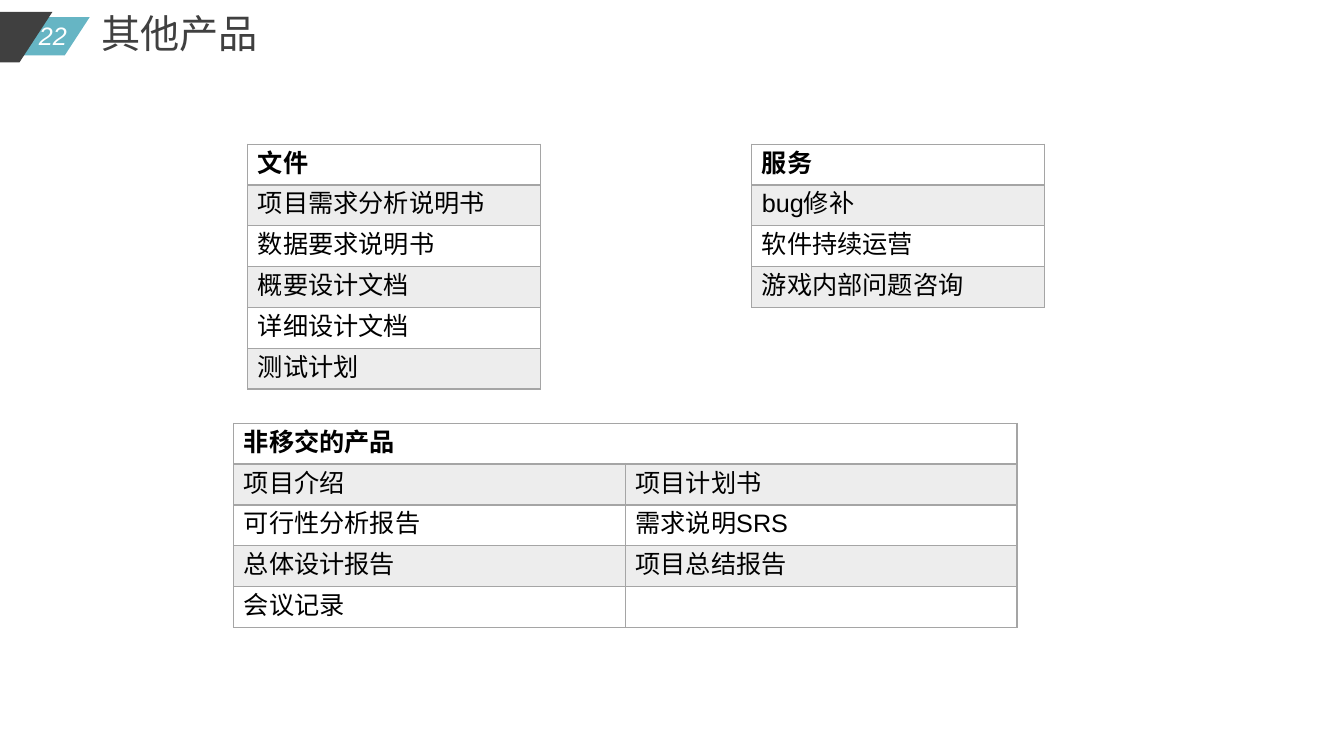
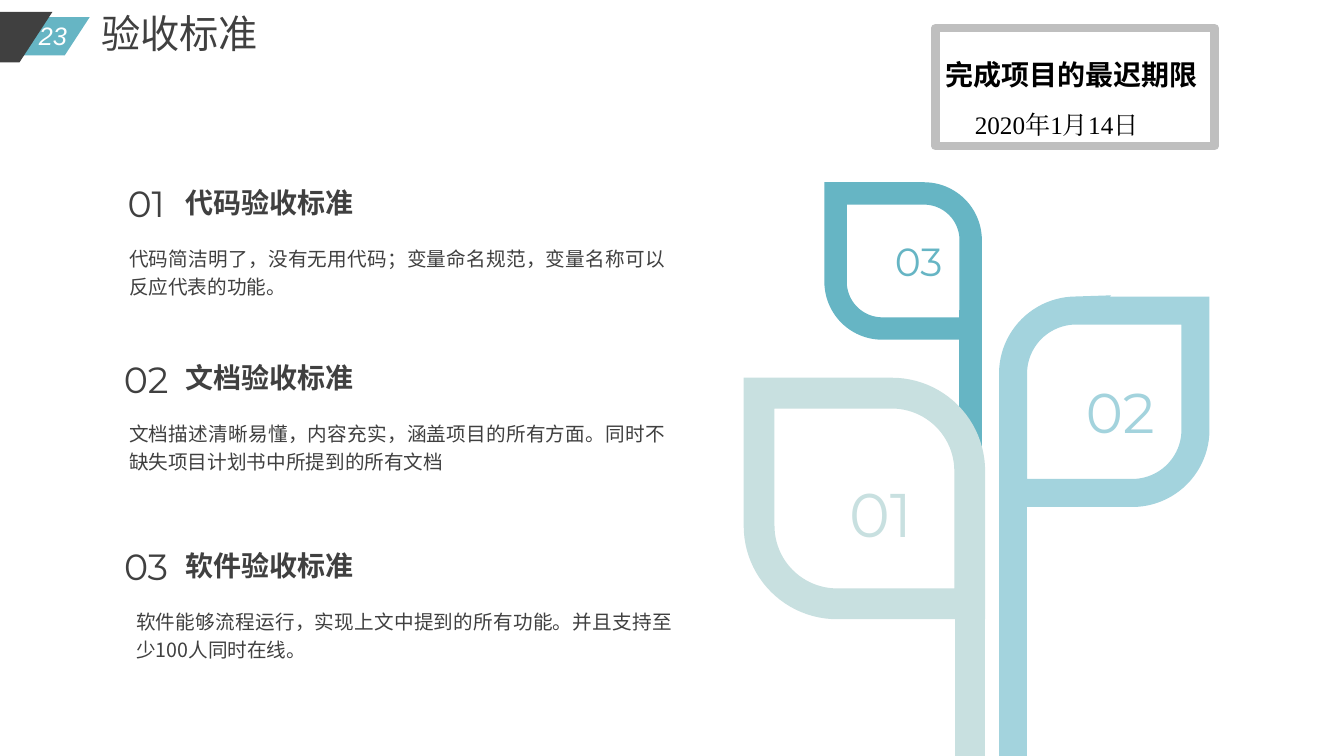
from lxml import etree
from pptx import Presentation
from pptx.dml.color import RGBColor
from pptx.enum import shapes as es, text as et
from pptx.oxml import ns
from pptx.util import Pt

COLORS = {
    "dark": "404040", "black": "000000", "white": "FFFFFF",
    "teal": "66B5C4", "sky": "A3D3DD", "mint": "C8E0E0",
    "border": "A5A5A5", "stripe": "EDEDED", "frame": "BFBFBF",
}
CJK = "Noto Sans CJK SC"
NUMERAL = "Montserrat"
LEFT, CENTER, JUSTIFY = et.PP_ALIGN.LEFT, et.PP_ALIGN.CENTER, et.PP_ALIGN.JUSTIFY

# Text formats
TITLE = {"name": CJK, "size": Pt(28), "color": "dark"}
PAGE = {"name": "Arial", "size": Pt(18), "color": "white", "italic": True}
CELL = {"name": "Arial", "size": Pt(18), "color": "black", "bold": False}
HEADING = {"name": CJK, "size": Pt(20), "color": "dark", "bold": True}
DETAIL = {"name": CJK, "size": Pt(14), "color": "dark"}
ORDINAL = {"name": NUMERAL, "size": Pt(26), "color": "dark"}
DEADLINE = {"name": "Arial", "size": Pt(20), "color": "black", "bold": True}
DATE = {"name": "Times New Roman", "size": Pt(18), "color": "black"}

ROW_H = 29.15


def rgb(name):
    return RGBColor.from_string(COLORS[name])


def sub(parent, tag, **attrs):
    return etree.SubElement(parent, ns.qn(tag), attrs)


def write(p, text, fmt, align=LEFT):
    """Add one formatted run to a paragraph."""
    p.alignment = align
    r = p.add_run()
    r.text = text
    for key, value in fmt.items():
        if key == "color":
            r.font.color.rgb = rgb(value)
        else:
            setattr(r.font, key, value)
    latin = r.font._element.find(ns.qn("a:latin"))
    east = etree.Element(ns.qn("a:ea"), typeface=fmt["name"])
    latin.addnext(east)


def add_label(s, box, text, fmt, align=LEFT, wrap=True, anchor=et.MSO_ANCHOR.MIDDLE):
    tf = s.shapes.add_textbox(*map(Pt, box)).text_frame
    frame = {"word_wrap": wrap, "vertical_anchor": anchor, "margin_left": 0,
             "margin_right": 0, "margin_top": 0, "margin_bottom": 0}
    for key, value in frame.items():
        setattr(tf, key, value)
    write(tf.paragraphs[0], text, fmt, align)
    return tf


def add_shape(s, kind, box, fill=None, line=None, width=0, adj=()):
    sp = s.shapes.add_shape(kind, *map(Pt, box))
    sp.shadow.inherit = False
    for i, value in enumerate(adj):
        sp.adjustments[i] = value
    if fill:
        sp.fill.solid()
        sp.fill.fore_color.rgb = rgb(fill)
    else:
        sp.fill.background()
    if line:
        sp.line.color.rgb = rgb(line)
        sp.line.width = Pt(width)
    else:
        sp.line.fill.background()
    return sp


def setup_layout(layout, s):
    """Put the shared header bands and title place on the layout."""
    title = layout.placeholders[0]
    for key, value in {"left": 65, "top": 3, "width": 500, "height": 41}.items():
        setattr(title, key, Pt(value))
    bands = [((-79.2, 12.2, 143.3, 27.4), "teal"), ((-149.8, 8.6, 187.2, 36), "dark")]
    for i, (box, fill) in enumerate(bands):
        sp = add_shape(s, es.MSO_SHAPE.PARALLELOGRAM, box, fill, adj=[0.652])
        sp.element.xpath("p:nvSpPr/p:cNvPr")[0].set("id", str(50 + i))
        layout.shapes.element.append(sp.element)


def add_header(s, title, number):
    tf = s.shapes.title.text_frame
    tf.auto_size = et.MSO_AUTO_SIZE.NONE
    tf.vertical_anchor = et.MSO_ANCHOR.MIDDLE
    write(tf.paragraphs[0], title, TITLE)
    add_label(s, (19.4, 10.8, 36.7, 28.8), str(number), PAGE, CENTER, wrap=False)


def set_borders(cell, header_above, is_header):
    tcPr = cell._tc.get_or_add_tcPr()
    widths = {"L": 1, "R": 1, "T": 2 if header_above else 1, "B": 2 if is_header else 1}
    for i, (side, width) in enumerate(widths.items()):
        ln = etree.Element(ns.qn("a:ln" + side), w=str(Pt(width)))
        sub(sub(ln, "a:solidFill"), "a:srgbClr", val=COLORS["border"])
        tcPr.insert(i, ln)


def add_table(s, left, top, width, header, rows):
    """Header row across all columns, then striped rows."""
    cols = len(rows[0])
    grid = [[header] + [""] * (cols - 1)] + rows
    table = s.shapes.add_table(len(grid), cols, Pt(left), Pt(top), Pt(width),
                               Pt(ROW_H * len(grid))).table
    table.first_row = table.horz_banding = False
    for y, row in enumerate(grid):
        table.rows[y].height = Pt(ROW_H)
        for x, text in enumerate(row):
            cell = table.cell(y, x)
            if y % 2:
                cell.fill.solid()
                cell.fill.fore_color.rgb = rgb("stripe")
            else:
                cell.fill.background()
            set_borders(cell, y == 1, y == 0)
            write(cell.text_frame.paragraphs[0], text, {**CELL, "bold": y == 0})
    if cols > 1:
        table.cell(0, 0).merge(table.cell(0, cols - 1))


def add_criterion(s, top, number, heading, detail, detail_left):
    add_label(s, (83.5, top - 2, 41.8, 31.7), number, ORDINAL, CENTER)
    add_label(s, (132.5, top, 156, 26), heading, HEADING)
    tf = add_label(s, (detail_left, top + 41.4, 383, 40), detail, DETAIL, JUSTIFY,
                   anchor=et.MSO_ANCHOR.TOP)
    tf.paragraphs[0].line_spacing = Pt(20.2)


def add_leaf(s, left, top, size, adj, color, width, stem):
    """A leaf outline and its stem, given as x, top and bottom."""
    leaf = add_shape(s, es.MSO_SHAPE.ROUND_2_DIAG_RECTANGLE, (left, top, size, size),
                     line=color, width=width, adj=adj)
    sub(leaf.line._get_or_add_ln(), "a:miter", lim="800000")
    x, start, end = map(Pt, stem)
    cx = s.shapes.add_connector(es.MSO_CONNECTOR.STRAIGHT, x, start, x, end)
    cx.line.color.rgb = rgb(color)
    cx.line.width = Pt(width)
    sub(cx.element.spPr, "a:effectLst")


def add_deadline(s, heading, date):
    sp = add_shape(s, es.MSO_SHAPE.RECTANGLE, (668.2, 20.2, 199.4, 84.2),
                   line="frame", width=6)
    sub(sp.line._get_or_add_ln(), "a:round")
    tf = sp.text_frame
    tf.word_wrap = True
    tf.vertical_anchor = et.MSO_ANCHOR.TOP
    p = tf.paragraphs[0]
    p.line_spacing = 1.73
    p.space_after = Pt(13)
    write(p, heading, DEADLINE, JUSTIFY)
    p = tf.add_paragraph()
    write(p, date, DATE, JUSTIFY)
    p._p.get_or_add_pPr().set("indent", str(Pt(21)))


def build_products(s):
    add_header(s, "其他产品", 22)
    add_table(s, 177, 103, 209, "文件", [
        ["项目需求分析说明书"], ["数据要求说明书"], ["概要设计文档"],
        ["详细设计文档"], ["测试计划"]])
    add_table(s, 537, 103, 209, "服务", [
        ["bug修补"], ["软件持续运营"], ["游戏内部问题咨询"]])
    add_table(s, 167, 302.4, 559.4, "非移交的产品", [
        ["项目介绍", "项目计划书"], ["可行性分析报告", "需求说明SRS"],
        ["总体设计报告", "项目总结报告"], ["会议记录", ""]])


def build_criteria(s):
    add_header(s, "验收标准", 23)
    # Criteria list
    criteria = [
        (131.5, "代码验收标准",
         "代码简洁明了，没有无用代码；变量命名规范，变量名称可以反应代表的功能。", 92.2),
        (256.5, "文档验收标准",
         "文档描述清晰易懂，内容充实，涵盖项目的所有方面。同时不缺失项目计划书中所提到的所有文档", 92.2),
        (390.5, "软件验收标准",
         "软件能够流程运行，实现上文中提到的所有功能。并且支持至少100人同时在线。", 97.2),
    ]
    for i, (top, heading, detail, left) in enumerate(criteria, 1):
        add_criterion(s, top, f"{i:02}", heading, detail, left)
    # Plant with three leaves, back to front
    add_leaf(s, 723.6, 221.8, 130.3, (0.346, 0), "sky", 20, (723.6, 326, 540))
    add_leaf(s, 596.9, 138.2, 96.5, (0, 0.346), "teal", 16, (693.2, 221.8, 499))
    add_leaf(s, 542.2, 280.8, 150.5, (0, 0.37), "mint", 22, (692.9, 356.4, 540))
    numerals = [
        ((596.2, 339.8, 65.5, 53.3), "01", 44, "mint"),
        ((768.2, 269.3, 64.1, 48.2), "02", 40, "sky"),
        ((624.2, 169.2, 64.1, 33.8), "03", 28, "teal"),
    ]
    for box, number, size, color in numerals:
        fmt = {"name": NUMERAL, "size": Pt(size), "color": color}
        add_label(s, box, number, fmt, CENTER)
    add_deadline(s, "完成项目的最迟期限", "2020年1月14日")


def main():
    prs = Presentation()
    prs.slide_width, prs.slide_height = Pt(960), Pt(540)
    layout = prs.slide_layouts[5]
    slides = [prs.slides.add_slide(layout) for _ in range(2)]
    setup_layout(layout, slides[0])
    build_products(slides[0])
    build_criteria(slides[1])
    prs.save("out.pptx")


if __name__ == "__main__":
    main()
